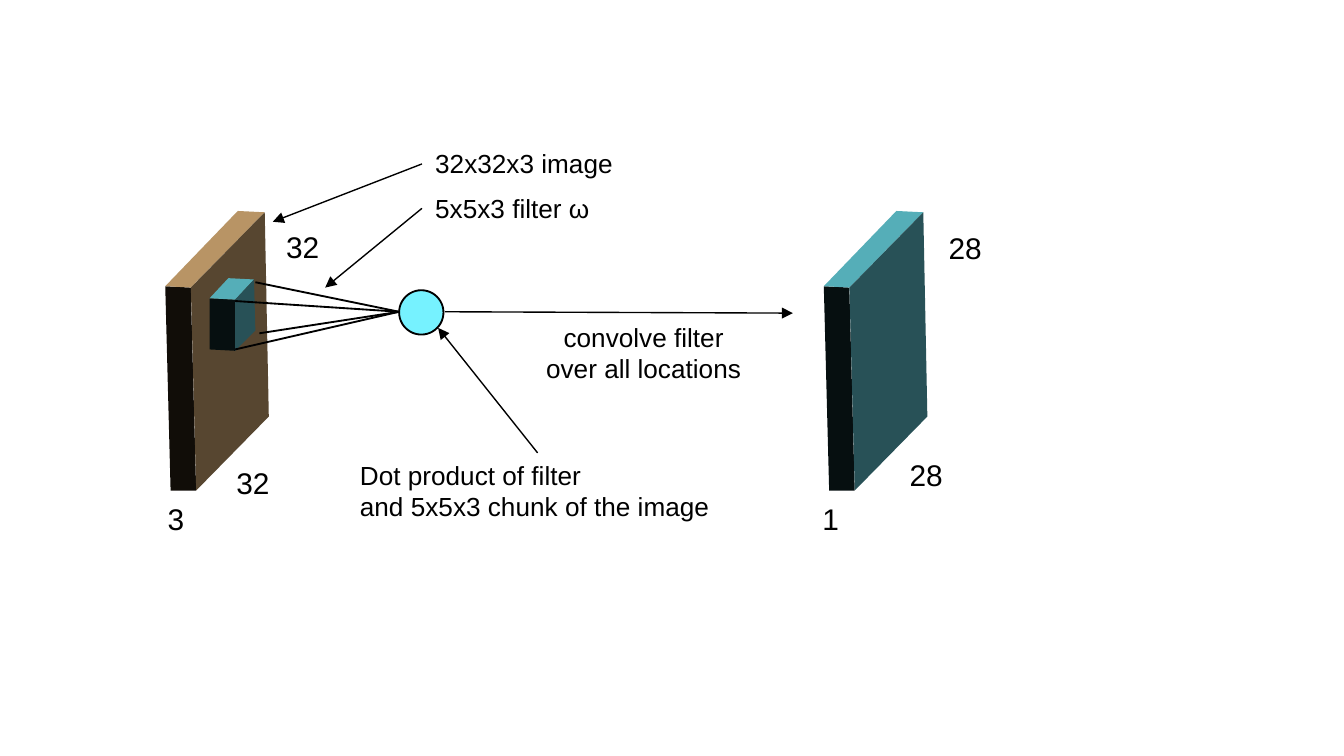
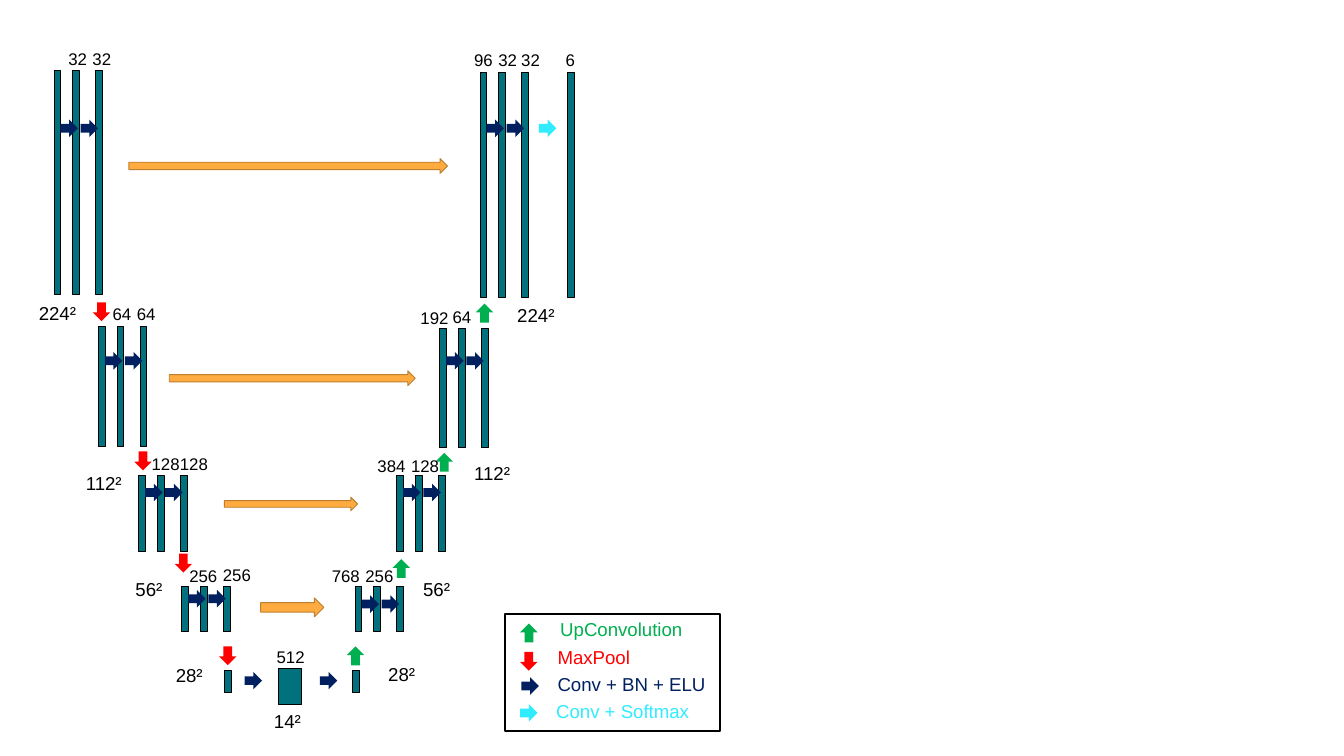
from typing import NamedTuple

from lxml.etree import SubElement
from pptx import Presentation
from pptx.dml.color import RGBColor as Rgb
from pptx.enum.shapes import MSO_CONNECTOR as Conn
from pptx.enum.shapes import MSO_SHAPE as Kind
from pptx.enum.text import MSO_AUTO_SIZE as Fit
from pptx.enum.text import PP_ALIGN as Align
from pptx.oxml.ns import qn
from pptx.util import Pt

PX = 9144
WIDE = 1000 * PX
HIGH = WIDE * 9 // 16
FONT = "Arial"
BLACK = Rgb(0x00, 0x00, 0x00)
CYAN = Rgb(0x76, 0xF2, 0xFF)
TEAL = Rgb(0x00, 0x71, 0x7D)
NAVY = Rgb(0x00, 0x20, 0x60)
RED = Rgb(0xFF, 0x00, 0x00)
GREEN = Rgb(0x00, 0xB0, 0x50)
AQUA = Rgb(0x31, 0xEB, 0xFF)
AMBER = Rgb(0xFF, 0xAB, 0x40)
BRONZE = Rgb(0xBD, 0x7F, 0x2F)

Point = tuple[int, int]


class Tones(NamedTuple):
    side: Rgb
    top: Rgb
    face: Rgb


class Slab(NamedTuple):
    edge: tuple[Point, Point, Point, Point]
    back: tuple[Point, Point, Point]
    tones: Tones


class Note(NamedTuple):
    text: str
    x: int
    y: int


class Stage(NamedTuple):
    x: int
    y: int
    high: int
    conv: int


class Mark(NamedTuple):
    kind: Kind
    color: Rgb
    wide: int
    high: int
    turn: int = 0


class Key(NamedTuple):
    mark: Mark
    at: Point
    note: Note
    wide: int


BROWNS = Tones(Rgb(0x11, 0x0D, 0x08), Rgb(0xB8, 0x94, 0x65), Rgb(0x57, 0x46, 0x30))
BLUES = Tones(Rgb(0x06, 0x0F, 0x10), Rgb(0x55, 0xAE, 0xB8), Rgb(0x28, 0x51, 0x57))

EDGE = ((123, 213), (142, 214), (146, 365), (127, 365))
BACK = ((177, 157), (197, 158), (200, 310))
IMAGE = Slab(EDGE, BACK, BROWNS)
FILTER = Slab(((156, 222), (175, 223), (175, 261), (156, 260)),
              ((170, 207), (189, 208), (190, 246)), BLUES)
OUTPUT = Slab(tuple((x + 490, y) for x, y in EDGE),
              tuple((x + 490, y) for x, y in BACK), BLUES)
SIDES = (Note("32", 203, 165), Note("32", 166, 341), Note("3", 115, 368),
         Note("28", 696, 166), Note("28", 667, 335), Note("1", 602, 368))
RAYS = ((175, 224), (190, 210), (175, 260), (193, 248))
HUB = (297, 232)

UP = Mark(Kind.DOWN_ARROW, GREEN, 13, 14, 180)
POOL = Mark(Kind.DOWN_ARROW, RED, 13, 14)
CONV = Mark(Kind.RIGHT_ARROW, NAVY, 13, 13)
SOFT = Mark(Kind.RIGHT_ARROW, AQUA, 13, 13)

STAGES = (Stage(40, 52, 167, 89), Stage(73, 243, 89, 262),
          Stage(103, 354, 56, 360), Stage(135, 436, 34, 439),
          Stage(357, 54, 167, 89), Stage(327, 244, 89, 262),
          Stage(295, 354, 56, 360), Stage(264, 436, 34, 443))
SINGLES = ((167, 499, 5, 16), (207, 497, 17, 27), (262, 499, 5, 16),
           (422, 54, 5, 167))
SKIPS = ((194, 445, 47, 14), (167, 370, 99, 10), (126, 276, 183, 11),
         (96, 118, 237, 11))
MARKS = (
    (POOL, ((69, 225), (100, 336), (130, 412), (163, 481))),
    (UP, ((258, 481), (292, 416), (324, 337), (354, 226))),
    (CONV, ((182, 500), (238, 500))),
    (SOFT, ((401, 89),)),
)
SIZES = (Note("224²", 19, 220), Note("112²", 54, 346), Note("56²", 91, 425),
         Note("28²", 121, 489), Note("14²", 194, 523), Note("224²", 375, 221),
         Note("112²", 343, 339), Note("56²", 305, 425), Note("28²", 279, 488))
COUNTS = (Note("32", 41, 31), Note("32", 59, 31),
          Note("64", 74, 221), Note("64", 92, 221),
          Note("128", 103, 333), Note("128", 124, 333),
          Note("256", 131, 416), Note("256", 156, 415),
          Note("512", 196, 476),
          Note("768", 237, 416), Note("256", 262, 416),
          Note("384", 271, 334), Note("128", 296, 334),
          Note("192", 303, 224), Note("64", 327, 223),
          Note("96", 343, 32), Note("32", 361, 32),
          Note("32", 378, 32), Note("6", 411, 32))
KEYS = (Key(UP, (387, 464), Note("UpConvolution", 407, 455), 112),
        Key(POOL, (387, 485), Note("MaxPool", 405, 476), 75),
        Key(CONV, (388, 504), Note("Conv + BN + ELU", 405, 496), 131),
        Key(SOFT, (387, 524), Note("Conv + Softmax", 404, 516), 120))


def write(slide, text: str, *, x: int, y: int, wide: int, high: int,
          size: int, color: Rgb = BLACK, align: Align = Align.LEFT):
    box = slide.shapes.add_textbox(x * PX, y * PX, wide * PX, high * PX)
    frame = box.text_frame
    frame.word_wrap = False
    frame.auto_size = Fit.SHAPE_TO_FIT_TEXT
    frame.text = text
    for para in frame.paragraphs:
        para.alignment = align
        font = para.runs[0].font
        font.name, font.size = FONT, Pt(size)
        font.color.rgb = color
    return box


def paint(shape, fill: Rgb | None, line: Rgb | None = None,
          width: float = 0) -> None:
    shape.shadow.inherit = False
    if fill is None:
        shape.fill.background()
    else:
        shape.fill.solid()
        shape.fill.fore_color.rgb = fill
    if line is None:
        shape.line.fill.background()
    else:
        shape.line.color.rgb = line
        shape.line.width = Pt(width)


def draw(slide, kind: Kind, x: int, y: int, wide: int, high: int,
         fill: Rgb | None, line: Rgb | None = None, width: float = 0):
    shape = slide.shapes.add_shape(kind, x * PX, y * PX, wide * PX, high * PX)
    paint(shape, fill, line, width)
    return shape


def link(slide, start: Point, end: Point, width: float, arrow: bool = False):
    line = slide.shapes.add_connector(
        Conn.STRAIGHT, *(n * PX for n in start + end))
    line.line.color.rgb = BLACK
    line.line.width = Pt(width)
    props = line.element.spPr
    if arrow:
        SubElement(props.find(qn("a:ln")), qn("a:tailEnd"), type="triangle")
    SubElement(props, qn("a:effectLst"))
    return line


def build(slide, slab: Slab) -> None:
    a, b, c, d = slab.edge
    e, f, g = slab.back
    faces = ((a, b, c, d), (a, e, f, b), (b, f, g, c))
    for points, tone in zip(faces, slab.tones):
        path = slide.shapes.build_freeform(*points[0], scale=PX)
        path.add_line_segments(points[1:], close=True)
        paint(path.convert_to_shape(), tone)


def stamp(slide, mark: Mark, at: Point) -> None:
    shape = draw(slide, mark.kind, *at, mark.wide, mark.high, mark.color)
    shape.rotation = mark.turn


def bar(slide, x: int, y: int, wide: int, high: int) -> None:
    draw(slide, Kind.FLOWCHART_PROCESS, x, y, wide, high, TEAL, BLACK, 0.25)


def filters(slide) -> None:
    for slab in (IMAGE, FILTER, OUTPUT):
        build(slide, slab)
    for note in SIDES:
        write(slide, note.text, x=note.x, y=note.y,
              wide=21 + 12 * len(note.text), high=37, size=16)
    for start in RAYS:
        link(slide, start, HUB, 1)
    draw(slide, Kind.FLOWCHART_CONNECTOR, 297, 216, 33, 33, CYAN, BLACK, 1)
    image = write(slide, "32x32x3 image", x=314, y=105, wide=153, high=34, size=14)
    kernel = write(slide, "5x5x3 filter ω", x=314, y=138, wide=136, high=34, size=14)
    product = write(slide, "Dot product of filter\nand 5x5x3 chunk of the image",
                    x=258, y=337, wide=284, high=57, size=14)
    write(slide, "convolve filter\nover all locations", x=396, y=234,
          wide=166, high=57, size=14, align=Align.CENTER)
    link(slide, (331, 232), (590, 233), 0.75, arrow=True)
    for box, site, start, end in ((image, 1, (314, 122), (203, 165)),
                                  (kernel, 1, (314, 155), (242, 214)),
                                  (product, 0, (400, 337), (326, 244))):
        link(slide, start, end, 0.75, arrow=True).begin_connect(box, site)


def network(slide) -> None:
    for stage in STAGES:
        for step in (0, 14, 31):
            bar(slide, stage.x + step, stage.y, 5, stage.high)
        for step in (5, 20):
            stamp(slide, CONV, (stage.x + step, stage.conv))
    for single in SINGLES:
        bar(slide, *single)
    for skip in SKIPS:
        draw(slide, Kind.RIGHT_ARROW, *skip, AMBER, BRONZE, 0.5)
    for mark, spots in MARKS:
        for spot in spots:
            stamp(slide, mark, spot)
    for note in SIZES:
        write(slide, note.text, x=note.x, y=note.y,
              wide=16 + 8 * len(note.text), high=27, size=10)
    for note in COUNTS:
        write(slide, note.text, x=note.x, y=note.y,
              wide=20 + 7 * len(note.text), high=25, size=9)
    draw(slide, Kind.FLOWCHART_PROCESS, 376, 457, 160, 87, None, BLACK, 1)
    for key in KEYS:
        stamp(slide, key.mark, key.at)
        write(slide, key.note.text, x=key.note.x, y=key.note.y,
              wide=key.wide, high=27, size=10, color=key.mark.color)


def main() -> None:
    deck = Presentation()
    deck.slide_width, deck.slide_height = WIDE, HIGH
    for fill in (filters, network):
        fill(deck.slides.add_slide(deck.slide_layouts[6]))
    deck.save("out.pptx")


if __name__ == "__main__":
    main()
